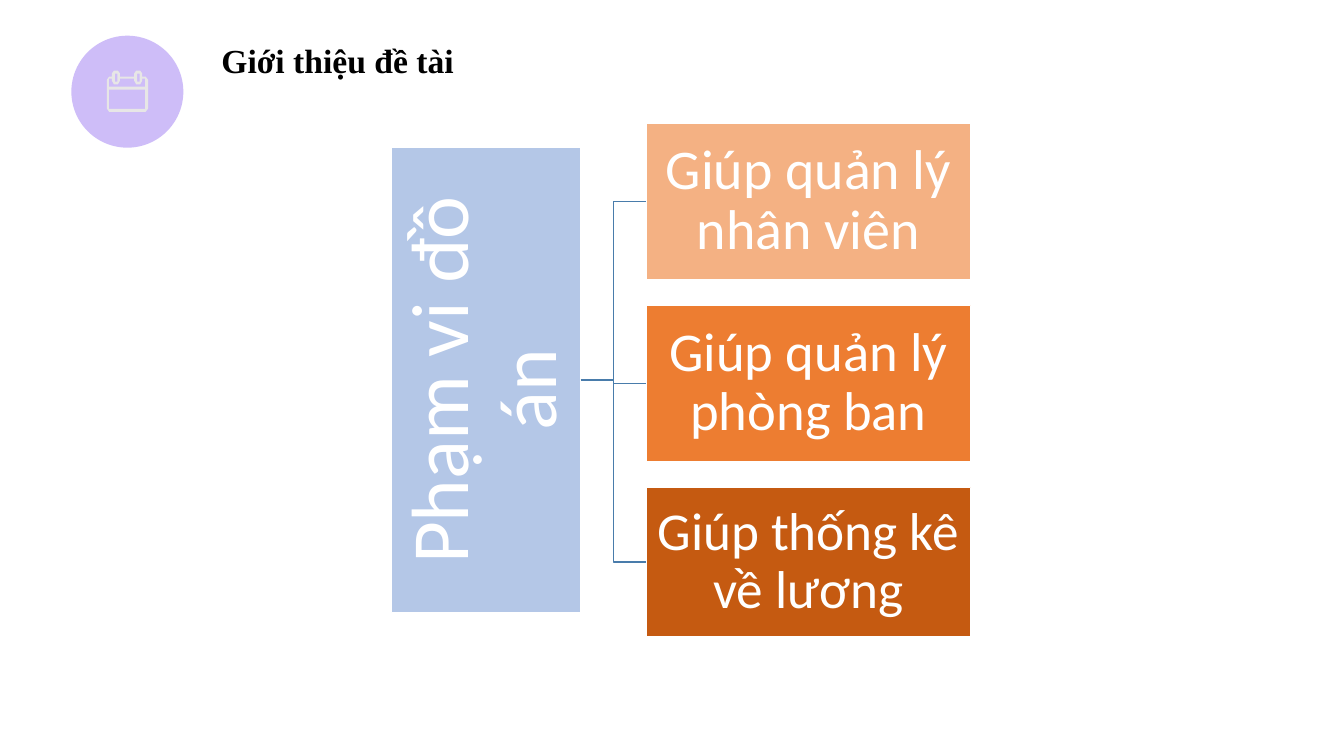
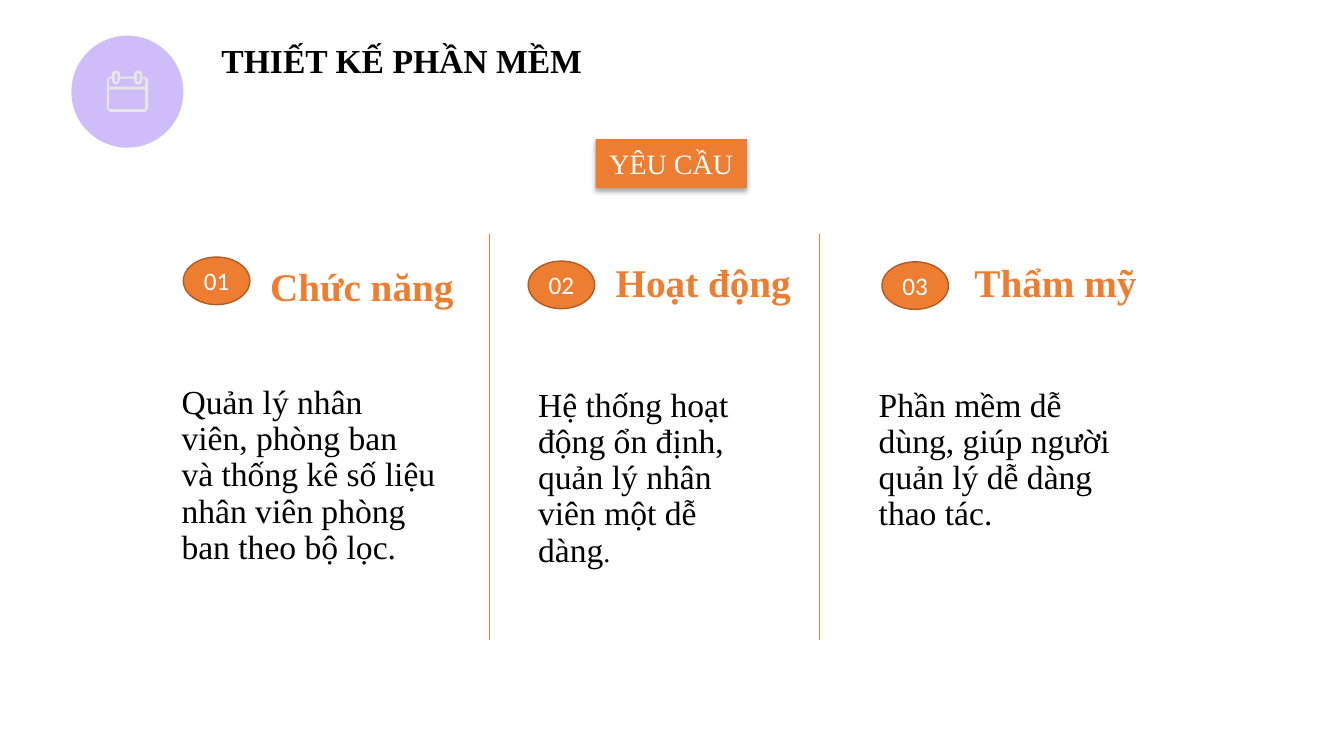
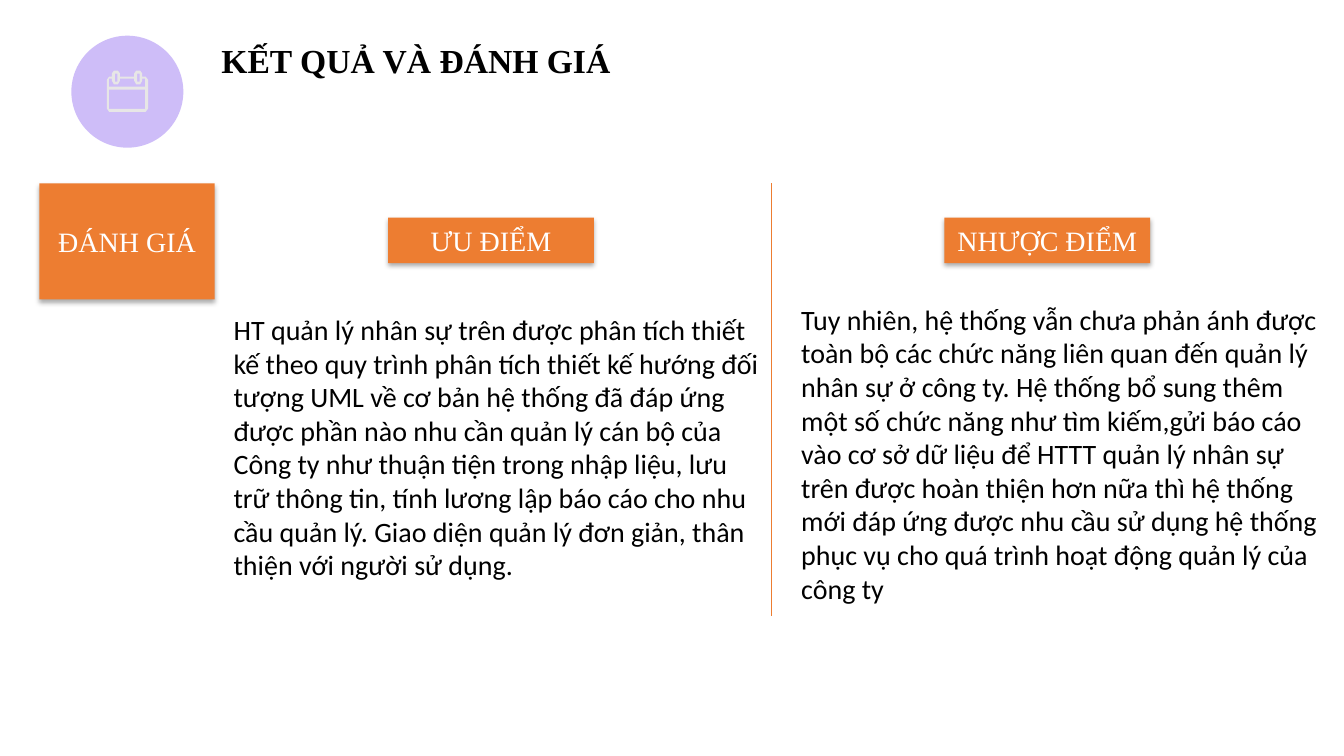
from dataclasses import dataclass

from lxml import etree
from pptx import Presentation
from pptx import util as u
from pptx.dml.color import RGBColor
from pptx.enum import shapes, text
from pptx.oxml.ns import qn
from pptx.shapes.autoshape import Shape
from pptx.shapes.connector import Connector
from pptx.slide import Slide

SERIF, SANS = "Times New Roman", "Calibri"
ORANGE, DARK_ORANGE, WHITE, BLACK = "ED7D31", "AF5C24", "FFFFFF", "000000"
VIOLET, ICON_GREY, BRANCH_BLUE, ROOT_BLUE = "9069F1", "E7E6E6", "497CAB", "B4C7E7"

Points = list[tuple[float, float]]


@dataclass(frozen=True)
class Frame:
    left: float
    top: float
    width: float
    height: float

    def lengths(self) -> tuple[u.Length, ...]:
        return tuple(u.Pt(n) for n in (self.left, self.top, self.width, self.height))


@dataclass(frozen=True)
class Scope:
    caption: str
    fill: str
    size: float
    height: float


@dataclass(frozen=True)
class Requirement:
    number: str
    heading: str
    body: str
    badge_at: tuple[float, float]
    heading_at: tuple[float, float]
    body_frame: Frame


@dataclass(frozen=True)
class Verdict:
    label: str
    label_left: float
    body: str
    body_frame: Frame


SCOPES = [
    Scope("Giúp quản lý nhân viên", "F4B183", 40, 112),
    Scope("Giúp quản lý phòng ban", ORANGE, 39, 112),
    Scope("Giúp thống kê về lương", "C55A11", 38, 107),
]

REQUIREMENTS = [
    Requirement("01", "Chức năng",
                "Quản lý nhân viên, phòng ban và thống kê số liệu nhân viên "
                "phòng ban theo bộ lọc.",
                (131, 183.6), (185.8, 184.3), Frame(122.6, 268, 196, 191.5)),
    Requirement("02", "Hoạt động",
                "Hệ thống hoạt động ổn định, quản lý nhân viên một dễ dàng",
                (377.3, 186.5), (432.7, 181.4), Frame(377.3, 270, 177, 156)),
    Requirement("03", "Thẩm mỹ",
                "Phần mềm dễ dùng, giúp người quản lý dễ dàng thao tác.",
                (630, 187), (689, 181.4), Frame(620.6, 270, 185, 156)),
]

VERDICTS = [
    Verdict("ƯU ĐIỂM", 277.2,
            "HT quản lý nhân sự trên được phân tích thiết kế theo quy trình phân tích "
            "thiết kế hướng đối tượng UML về cơ bản hệ thống đã đáp ứng được phần nào "
            "nhu cần quản lý cán bộ của Công ty như thuận tiện trong nhập liệu, lưu trữ "
            "thông tin, tính lương lập báo cáo cho nhu cầu quản lý. Giao diện quản lý "
            "đơn giản, thân thiện với người sử dụng.",
            Frame(159.8, 219.6, 391, 201)),
    Verdict("NHƯỢC ĐIỂM", 674.6,
            "Tuy nhiên, hệ thống vẫn chưa phản ánh được toàn bộ các chức năng liên quan "
            "đến quản lý nhân sự ở công ty. Hệ thống bổ sung thêm một số chức năng như "
            "tìm kiếm,gửi báo cáo vào cơ sở dữ liệu để HTTT quản lý nhân sự trên được "
            "hoàn thiện hơn nữa thì hệ thống mới đáp ứng được nhu cầu sử dụng hệ thống "
            "phục vụ cho quá trình hoạt động quản lý của công ty",
            Frame(565.2, 212.4, 384.5, 225.4)),
]


def colour(code: str) -> RGBColor:
    return RGBColor.from_string(code)


def add_span(para, words: str, size: float, font: str, ink: str, bold: bool = False) -> None:
    span = para.add_run()
    span.text = words
    span.font.size = u.Pt(size)
    span.font.name = font
    span.font.bold = bold
    span.font.color.rgb = colour(ink)


def write(box: Shape, words: str, *, size: float, font: str = SERIF, ink: str = BLACK,
          bold: bool = False, centred: bool = False, spacing: float = 1.0,
          inset: tuple[float, float] = (7.2, 3.6), wrap: bool = True):
    """Fill a shape with one formatted paragraph and return that paragraph."""
    frame = box.text_frame
    frame.word_wrap = wrap
    frame.auto_size = text.MSO_AUTO_SIZE.NONE
    frame.vertical_anchor = text.MSO_ANCHOR.MIDDLE if centred else text.MSO_ANCHOR.TOP
    frame.margin_left = frame.margin_right = u.Pt(inset[0])
    frame.margin_top = frame.margin_bottom = u.Pt(inset[1])
    para = frame.paragraphs[0]
    para.alignment = text.PP_ALIGN.CENTER if centred else text.PP_ALIGN.LEFT
    para.line_spacing = spacing
    add_span(para, words, size, font, ink, bold)
    return para


def add_text(page: Slide, frame: Frame, words: str, **style):
    return write(page.shapes.add_textbox(*frame.lengths()), words, **style)


def paint(shape: Shape, fill: str, line: str | None = None) -> None:
    shape.shadow.inherit = False
    shape.fill.solid()
    shape.fill.fore_color.rgb = colour(fill)
    if line:
        shape.line.color.rgb = colour(line)
        shape.line.width = u.Pt(1)
    else:
        shape.line.fill.background()


def add_block(page: Slide, frame: Frame, fill: str, line: str | None = None,
              kind=shapes.MSO_SHAPE.RECTANGLE) -> Shape:
    block = page.shapes.add_shape(kind, *frame.lengths())
    paint(block, fill, line)
    return block


def add_link(page: Slide, kind, start: tuple[float, float], end: tuple[float, float],
             ink: str, width: float) -> Connector:
    link = page.shapes.add_connector(kind, *(u.Pt(n) for n in (*start, *end)))
    link.line.color.rgb = colour(ink)
    link.line.width = u.Pt(width)
    etree.SubElement(link._element.spPr, qn("a:effectLst"))
    return link


def add_divider(page: Slide, x: float, top: float, bottom: float) -> None:
    add_link(page, shapes.MSO_CONNECTOR.STRAIGHT, (x, top), (x, bottom), ORANGE, 0.5)


def add_label(page: Slide, frame: Frame, words: str) -> None:
    """Draw an orange caption box with a soft shadow below it."""
    label = add_block(page, frame, ORANGE)
    effects = label._element.spPr.find(qn("a:effectLst"))
    shadow = etree.SubElement(effects, qn("a:outerShdw"), blurRad=str(u.Pt(3.5)),
                              dist=str(u.Pt(2.2)), dir="5400000", rotWithShape="0")
    black = etree.SubElement(shadow, qn("a:srgbClr"), val=BLACK)
    etree.SubElement(black, qn("a:alpha"), val="32000")
    write(label, words, size=20, ink=WHITE, centred=True)


def rectangle(left: float, top: float, right: float, bottom: float) -> Points:
    return [(left, top), (right, top), (right, bottom), (left, bottom)]


def ring_edge(left: float, base: float, shoulder: float, tip: float) -> Points:
    """Trace one binder ring's outer edge from left to right."""
    return [(left, base), (left, shoulder), (left + 1.5, tip),
            (left + 4.3, tip), (left + 5.8, shoulder), (left + 5.8, base)]


def add_calendar(page: Slide) -> None:
    rings = (79.9, 95.8)
    above = [point for left in rings for point in ring_edge(left, 54.7, 52.5, 50.4)]
    below = [point for left in rings for point in ring_edge(left, 56.2, 57.6, 60.3)]
    contours = [
        [(78, 54.7), *above, (104, 54.7), (105.8, 57), (105.8, 77.5),
         (104, 79.9), (78, 79.9), (76.3, 77.5), (76.3, 57)],
        [(77.8, 56.2), *below, (103.7, 56.2), (103.7, 61.9), (77.8, 61.9)],
        rectangle(77.8, 64.1, 103.7, 77.8),
        *(rectangle(left + 2.1, 52.6, left + 3.9, 58.3) for left in rings),
    ]
    builder = None
    for contour in contours:
        start, *rest = [(x * 100, y * 100) for x, y in contour]
        if builder is None:
            builder = page.shapes.build_freeform(*start, scale=u.Pt(0.01))
        else:
            builder.move_to(*start)
        builder.add_line_segments(rest, close=True)
    paint(builder.convert_to_shape(), ICON_GREY)


def add_page(deck, title: str, title_width: float) -> Slide:
    """Add a slide with the shared calendar badge and title."""
    page = deck.slides.add_slide(deck.slide_layouts[5])
    disc = add_block(page, Frame(51, 25.5, 80, 80), VIOLET, kind=shapes.MSO_SHAPE.OVAL)
    tint = disc._element.spPr.find(qn("a:solidFill")).find(qn("a:srgbClr"))
    etree.SubElement(tint, qn("a:alpha"), val="44000")
    add_calendar(page)
    box = page.shapes.title
    box.left, box.top, box.width, box.height = Frame(151, 25.2, title_width, 36).lengths()
    write(box, title, size=24, bold=True, wrap=False)
    return page


def add_scope_page(deck) -> None:
    page = add_page(deck, "Giới thiệu đề tài", 182)
    caption_style = dict(font=SANS, ink=WHITE, centred=True, spacing=0.9)
    root = add_block(page, Frame(279.6, 105.5, 135.4, 332), ROOT_BLUE, WHITE)
    write(root, "Phạm vi đồ án ", size=58, inset=(2.9, 2.9), **caption_style)
    root.text_frame._txBody.bodyPr.set("vert", "vert270")
    for row, scope in enumerate(SCOPES):
        frame = Frame(461.5, 88 + 130 * row, 232, scope.height)
        block = add_block(page, frame, scope.fill, WHITE)
        write(block, scope.caption, size=scope.size, inset=(2.2, 2.2), **caption_style)
        branch = add_link(page, shapes.MSO_CONNECTOR.ELBOW, (415, 271.5),
                          (frame.left, frame.top + frame.height / 2), BRANCH_BLUE, 1)
        branch.begin_connect(root, 3)
        branch.end_connect(block, 1)


def add_requirements_page(deck) -> None:
    page = add_page(deck, "THIẾT KẾ PHẦN MỀM", 274)
    add_label(page, Frame(425.5, 99.4, 108, 35), "YÊU CẦU")
    for item in REQUIREMENTS:
        badge = add_block(page, Frame(*item.badge_at, 47.5, 34), ORANGE, DARK_ORANGE,
                          shapes.MSO_SHAPE.OVAL)
        write(badge, item.number, size=18, font=SANS, ink=WHITE, centred=True, inset=(0, 0))
        add_text(page, Frame(*item.heading_at, 151, 36), item.heading, size=28, ink=ORANGE,
                 bold=True, spacing=0.9, inset=(7.2, 7.2))
        para = add_text(page, item.body_frame, item.body, size=24, spacing=0.9,
                        inset=(7.2, 7.2))
        if not item.body.endswith("."):
            add_span(para, ".", 20, SERIF, BLACK)
    for x in (349.2, 585.4):
        add_divider(page, x, 167, 457.2)


def add_verdict_page(deck) -> None:
    page = add_page(deck, "KẾT QUẢ VÀ ĐÁNH GIÁ", 295)
    add_label(page, Frame(28.1, 131, 125.3, 82.8), "ĐÁNH GIÁ")
    add_divider(page, 550.8, 131, 440)
    for verdict in VERDICTS:
        add_label(page, Frame(verdict.label_left, 155.5, 147, 32.4), verdict.label)
        add_text(page, verdict.body_frame, verdict.body, size=20, font=SANS)


def main() -> None:
    deck = Presentation()
    deck.slide_width, deck.slide_height = u.Pt(960), u.Pt(540)
    add_scope_page(deck)
    add_requirements_page(deck)
    add_verdict_page(deck)
    deck.save("out.pptx")


if __name__ == "__main__":
    main()
